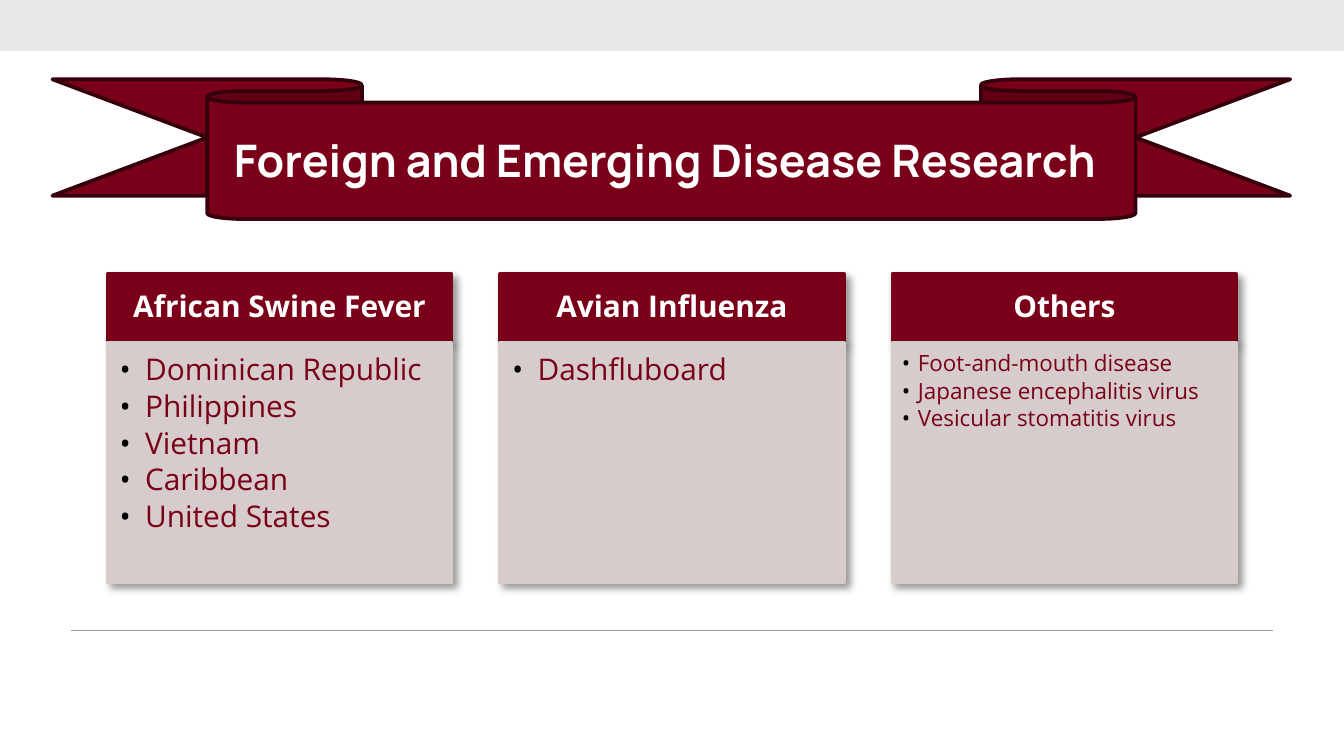
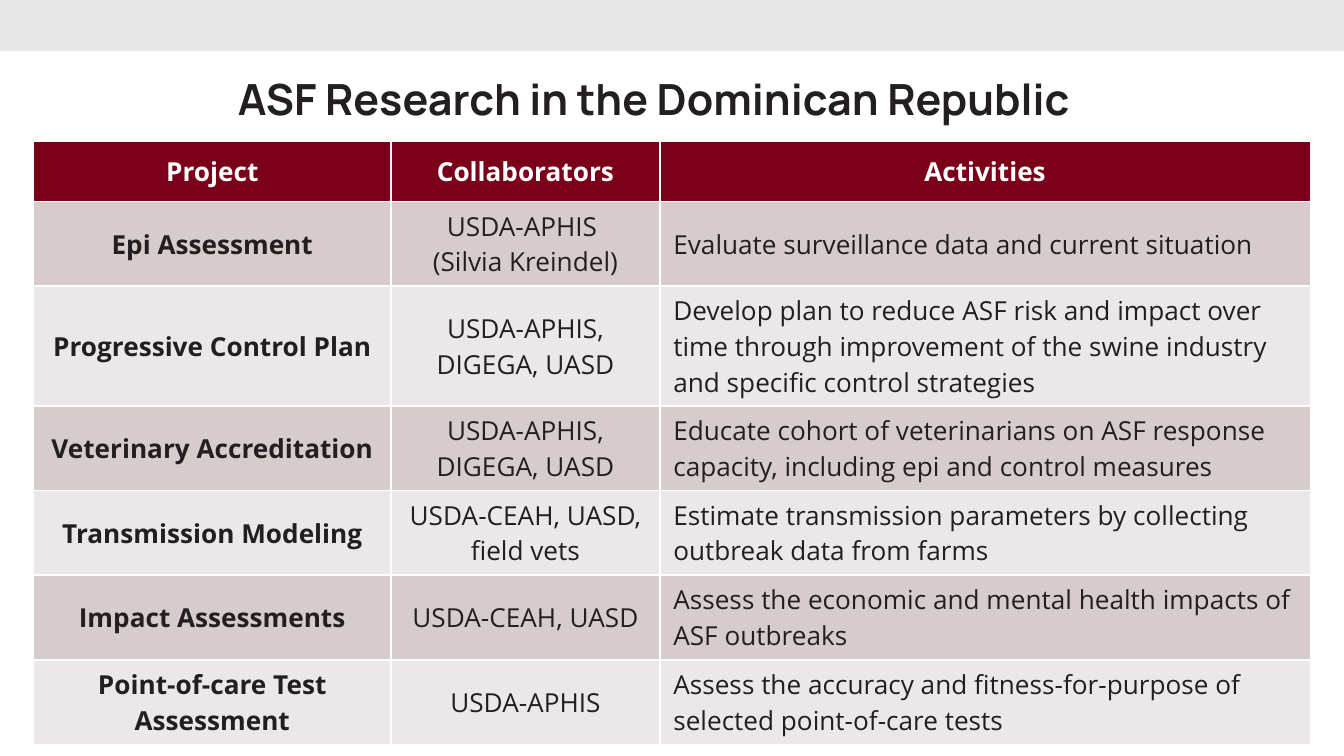
from dataclasses import dataclass

from lxml import etree
from pptx import Presentation
from pptx import util as u
from pptx.dml.color import RGBColor
from pptx.enum import shapes, text
from pptx.oxml import parse_xml
from pptx.oxml.ns import nsdecls, qn


@dataclass(frozen=True)
class Theme:
    maroon: str = "7A0019"
    dark_maroon: str = "35000B"
    ink: str = "231F20"
    white: str = "FFFFFF"
    black: str = "000000"
    top_band: str = "E8E8E8"
    rule: str = "999999"
    panel: str = "D7CCCC"
    pale_panel: str = "ECE7E8"
    title_font: str = "Manrope"
    body_font: str = "Open Sans"
    banner_title: int = 24
    table_title: int = 23
    card_text: int = 16
    small_card_text: int = 12
    table_text: int = 14


THEME = Theme()

CARDS = [
    ("African Swine Fever", THEME.card_text,
     ["Dominican Republic", "Philippines", "Vietnam", "Caribbean", "United States"]),
    ("Avian Influenza", THEME.card_text, ["Dashfluboard"]),
    ("Others", THEME.small_card_text,
     ["Foot-and-mouth disease", "Japanese encephalitis virus", "Vesicular stomatitis virus"]),
]

PROJECTS = [
    ("Project", "Collaborators", "Activities"),
    ("Epi Assessment", "USDA-APHIS \v(Silvia Kreindel)",
     "Evaluate surveillance data and current situation"),
    ("Progressive Control Plan", "USDA-APHIS, DIGEGA, UASD",
     "Develop plan to reduce ASF risk and impact over time through improvement "
     "of the swine industry and specific control strategies"),
    ("Veterinary Accreditation", "USDA-APHIS, DIGEGA, UASD",
     "Educate cohort of veterinarians on ASF response capacity, "
     "including epi and control measures"),
    ("Transmission Modeling", "USDA-CEAH, UASD, field vets",
     "Estimate transmission parameters by collecting outbreak data from farms"),
    ("Impact Assessments", "USDA-CEAH, UASD",
     "Assess the economic and mental health impacts of ASF outbreaks"),
    ("Point-of-care Test Assessment", "USDA-APHIS",
     "Assess the accuracy and fitness-for-purpose of selected point-of-care tests"),
]
COLUMN_WIDTHS = [2.66, 2, 4.84]
ROW_HEIGHTS = [0.45, 0.63, 0.89] + [0.63] * 4


def rgb(value):
    return RGBColor.from_string(value)


def style_runs(paragraph, size, color, bold=False, font=THEME.body_font):
    for run in paragraph.runs:
        run.font.name = font
        run.font.size = u.Pt(size)
        run.font.bold = bold
        run.font.color.rgb = rgb(color)


def set_insets(frame, left, top, right, bottom):
    frame.margin_left, frame.margin_top = u.Inches(left), u.Inches(top)
    frame.margin_right, frame.margin_bottom = u.Inches(right), u.Inches(bottom)


def add_block(slide, kind, box, fill, outline=None):
    block = slide.shapes.add_shape(kind, *map(u.Inches, box))
    block.shadow.inherit = False
    block.fill.solid()
    block.fill.fore_color.rgb = rgb(fill)
    if outline:
        block.line.color.rgb = rgb(outline)
        block.line.width = u.Pt(2)
    else:
        block.line.fill.background()
    return block


def add_drop_shadow(block):
    effects = block._element.spPr.find(qn("a:effectLst"))
    effects.append(parse_xml(
        f'<a:outerShdw {nsdecls("a")} blurRad="{u.Pt(4)}" dist="{u.Pt(3)}" '
        f'dir="2700000" algn="tl" rotWithShape="0"><a:srgbClr val="{THEME.black}">'
        '<a:alpha val="40000"/></a:srgbClr></a:outerShdw>'))


def add_base_slide(deck):
    slide = deck.slides.add_slide(deck.slide_layouts[6])
    add_block(slide, shapes.MSO_SHAPE.RECTANGLE, (0, 0, 10, 0.38), THEME.top_band)
    footer_rule = slide.shapes.add_connector(
        shapes.MSO_CONNECTOR.STRAIGHT,
        u.Inches(0.53), u.Inches(4.69), u.Inches(9.47), u.Inches(4.69))
    footer_rule.line.color.rgb = rgb(THEME.rule)
    footer_rule.line.width = u.Pt(0.75)
    etree.SubElement(footer_rule._element.spPr, qn("a:effectLst"))
    return slide


def add_title(slide, wording, box, size, color):
    frame = slide.shapes.add_textbox(*map(u.Inches, box)).text_frame
    frame.word_wrap = True
    set_insets(frame, 0.07, 0.07, 0.07, 0.07)
    frame.text = wording
    style_runs(frame.paragraphs[0], size, color, True, THEME.title_font)


def add_bullet(paragraph, indent):
    properties = paragraph._p.get_or_add_pPr()
    properties.set("marL", str(u.Inches(indent)))
    properties.set("indent", str(-u.Inches(indent)))
    color = etree.SubElement(properties, qn("a:buClr"))
    etree.SubElement(color, qn("a:srgbClr")).set("val", THEME.black)
    etree.SubElement(properties, qn("a:buFont")).set("typeface", THEME.body_font)
    etree.SubElement(properties, qn("a:buChar")).set("char", "•")


def add_card(slide, left, heading, size, items):
    header = add_block(slide, shapes.MSO_SHAPE.RECTANGLE, (left, 2.04, 2.56, 0.5),
                       THEME.maroon, THEME.maroon)
    add_drop_shadow(header)
    set_insets(header.text_frame, 0.12, 0.07, 0.12, 0.07)
    header.text_frame.text = heading
    header.text_frame.vertical_anchor = text.MSO_ANCHOR.MIDDLE
    caption = header.text_frame.paragraphs[0]
    caption.alignment = text.PP_ALIGN.CENTER
    caption.line_spacing = 0.9
    style_runs(caption, THEME.card_text, THEME.white, True)

    body = add_block(slide, shapes.MSO_SHAPE.RECTANGLE, (left, 2.55, 2.56, 1.78),
                     THEME.panel, THEME.panel)
    add_drop_shadow(body)
    small = size == THEME.small_card_text
    frame = body.text_frame
    set_insets(frame, *((0.07, 0.07, 0.09, 0.1) if small else (0.09, 0.09, 0.12, 0.14)))
    frame.vertical_anchor = text.MSO_ANCHOR.TOP
    frame.text = "\n".join(items)
    for item in frame.paragraphs:
        item.level = 1
        item.alignment = text.PP_ALIGN.LEFT
        item.line_spacing = 0.9
        item.space_after = u.Pt(0.15 * size)
        add_bullet(item, 0.12 if small else 0.19)
        style_runs(item, size, THEME.maroon)


def add_project_table(slide):
    table = slide.shapes.add_table(
        len(PROJECTS), len(COLUMN_WIDTHS), u.Inches(0.25), u.Inches(1.05),
        u.Inches(sum(COLUMN_WIDTHS)), u.Inches(sum(ROW_HEIGHTS))).table
    for column, width in zip(table.columns, COLUMN_WIDTHS):
        column.width = u.Inches(width)
    for row, height in zip(table.rows, ROW_HEIGHTS):
        row.height = u.Inches(height)
    for r, project in enumerate(PROJECTS):
        is_header = r == 0
        band = THEME.maroon if is_header else THEME.panel if r % 2 else THEME.pale_panel
        for c, wording in enumerate(project):
            cell = table.cell(r, c)
            cell.fill.solid()
            cell.fill.fore_color.rgb = rgb(band)
            cell.vertical_anchor = text.MSO_ANCHOR.MIDDLE
            paragraph = cell.text_frame.paragraphs[0]
            paragraph.text = wording
            centered = is_header or c < 2
            paragraph.alignment = text.PP_ALIGN.CENTER if centered else text.PP_ALIGN.LEFT
            style_runs(paragraph, THEME.table_text,
                       THEME.white if is_header else THEME.ink, is_header or c == 0)


def build_research_areas(deck):
    slide = add_base_slide(deck)
    ribbon = add_block(slide, shapes.MSO_SHAPE.DOWN_RIBBON, (0.39, 0.59, 9.21, 1.04),
                       THEME.maroon, THEME.dark_maroon)
    ribbon.adjustments[0] = 0.167
    ribbon.adjustments[1] = 0.75
    add_title(slide, "Foreign and Emerging Disease Research", (1.67, 0.92, 6.66, 0.59),
              THEME.banner_title, THEME.white)
    for index, (heading, size, items) in enumerate(CARDS):
        add_card(slide, 0.8 + 2.92 * index, heading, size, items)


def build_project_overview(deck):
    slide = add_base_slide(deck)
    add_title(slide, "ASF Research in the Dominican Republic", (1.7, 0.47, 6.6, 0.59),
              THEME.table_title, THEME.ink)
    add_project_table(slide)


def main():
    deck = Presentation()
    deck.slide_width = u.Inches(10)
    deck.slide_height = deck.slide_width * 9 // 16
    build_research_areas(deck)
    build_project_overview(deck)
    deck.save("out.pptx")


if __name__ == "__main__":
    main()
